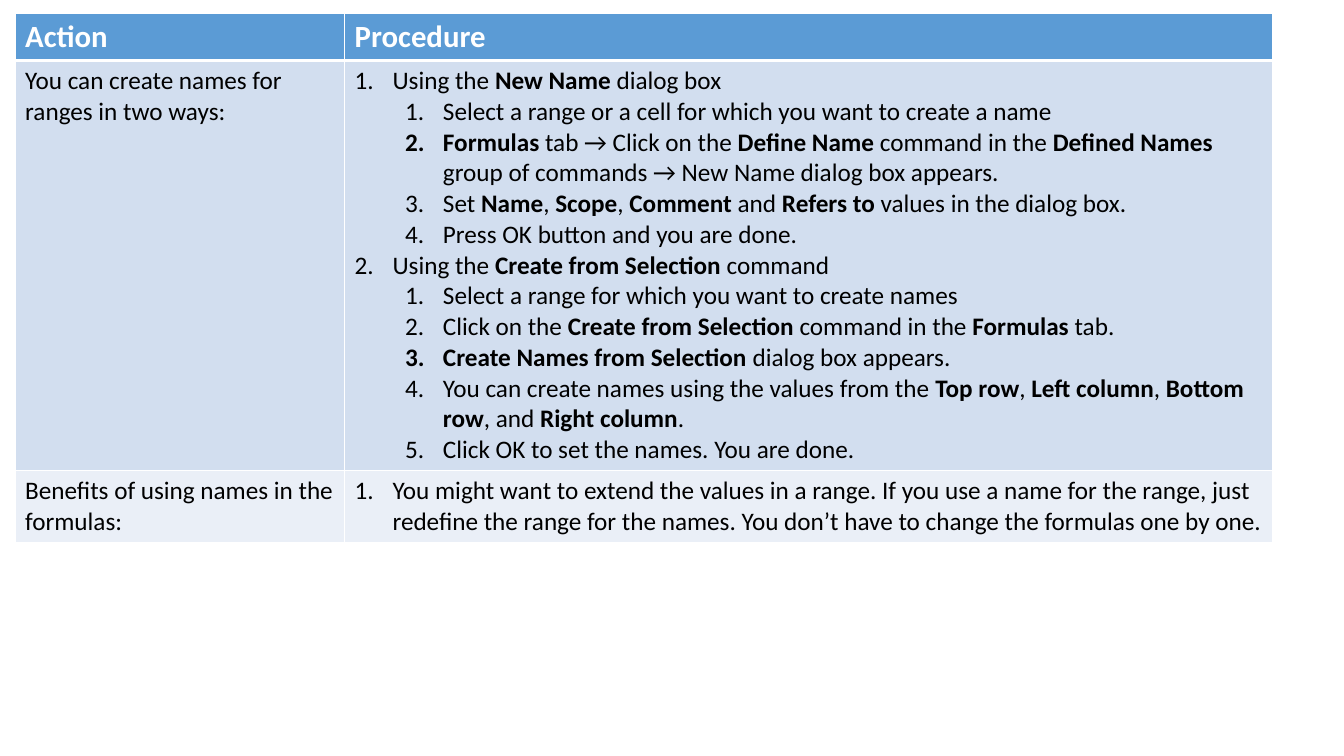
from dataclasses import dataclass

from lxml.etree import SubElement
from pptx import Presentation
from pptx.dml.color import RGBColor
from pptx.oxml.ns import qn
from pptx.util import Pt


@dataclass(frozen=True)
class Theme:
    font: str = "Calibri"
    head: float = 22
    body: float = 18
    white: str = "FFFFFF"
    black: str = "000000"
    blue: str = "5B9BD5"
    mid: str = "D2DEEF"
    pale: str = "EAEFF7"
    thin: float = 1
    thick: float = 3


@dataclass(frozen=True)
class Item:
    text: str
    level: int | None = None


@dataclass(frozen=True)
class Row:
    height: float
    fill: str
    cells: tuple[list[Item], list[Item]]
    head: bool = False
    top: float = 1
    bottom: float = 1


THEME = Theme()
LEFT, TOP = 10.8, 9.3
WIDTHS = (235.4, 663.1)
INDENT, STEP = 27, 36

STEPS = [
    Item("Using the *New Name* dialog box", 0),
    Item("Select a range or a cell for which you want to create a name", 1),
    Item("*Formulas* tab → Click on the *Define Name* command in the "
         "*Defined Names* group of commands → New Name dialog box appears.", 1),
    Item("Set *Name*, *Scope*, *Comment* and *Refers to* values in the dialog box.", 1),
    Item("Press OK button and you are done.", 1),
    Item("Using the *Create from Selection* command", 0),
    Item("Select a range for which you want to create names", 1),
    Item("Click on the *Create from Selection* command in the *Formulas* tab.", 1),
    Item("*Create Names from Selection* dialog box appears.", 1),
    Item("You can create names using the values from the *Top row*, "
         "*Left column*, *Bottom row*, and *Right column*.", 1),
    Item("Click OK to set the names. You are done.", 1),
]
GAIN = Item("You might want to extend the values in a range. If you use a name "
            "for the range, just redefine the range for the names. You don’t "
            "have to change the formulas one by one.", 0)

ROWS = [
    Row(33.5, THEME.blue, ([Item("*Action*")], [Item("*Procedure*")]),
        head=True, bottom=THEME.thick),
    Row(292, THEME.mid,
        ([Item("You can create names for ranges in two ways:")], STEPS),
        top=THEME.thick),
    Row(51, THEME.pale,
        ([Item("Benefits of using names in the formulas:")], [GAIN])),
]


def number(par, level: int) -> None:
    par.level = level
    props = par._p.get_or_add_pPr()
    props.set("marL", str(Pt(INDENT + STEP * level)))
    props.set("indent", str(-Pt(INDENT)))
    SubElement(props, qn("a:buFont"), typeface="+mj-lt")
    SubElement(props, qn("a:buAutoNum"), type="arabicPeriod")


def write(par, item: Item, head: bool) -> None:
    if item.level is not None:
        number(par, item.level)
    for index, part in enumerate(item.text.split("*")):
        if part:
            run = par.add_run()
            run.text = part
            font = run.font
            font.name = THEME.font
            font.size = Pt(THEME.head if head else THEME.body)
            font.bold = index % 2 == 1
            font.color.rgb = RGBColor.from_string(THEME.white if head else THEME.black)


def border(cell, row: Row) -> None:
    props = cell._tc.get_or_add_tcPr()
    sides = {"L": THEME.thin, "R": THEME.thin, "T": row.top, "B": row.bottom}
    for side, width in sides.items():
        line = SubElement(props, qn(f"a:ln{side}"), w=str(Pt(width)))
        fill = SubElement(line, qn("a:solidFill"))
        SubElement(fill, qn("a:srgbClr"), val=THEME.white)


def draw(cell, items: list[Item], row: Row) -> None:
    border(cell, row)
    cell.fill.solid()
    cell.fill.fore_color.rgb = RGBColor.from_string(row.fill)
    frame = cell.text_frame
    for index, item in enumerate(items):
        par = frame.add_paragraph() if index else frame.paragraphs[0]
        write(par, item, row.head)


def main() -> None:
    deck = Presentation()
    deck.slide_width, deck.slide_height = Pt(960), Pt(540)
    slide = deck.slides.add_slide(deck.slide_layouts[6])
    table = slide.shapes.add_table(
        len(ROWS), len(WIDTHS), Pt(LEFT), Pt(TOP),
        Pt(sum(WIDTHS)), Pt(sum(row.height for row in ROWS))).table
    for column, width in zip(table.columns, WIDTHS):
        column.width = Pt(width)
    for line, row in zip(table.rows, ROWS):
        line.height = Pt(row.height)
        for cell, items in zip(line.cells, row.cells):
            draw(cell, items, row)
    deck.save("out.pptx")


if __name__ == "__main__":
    main()
